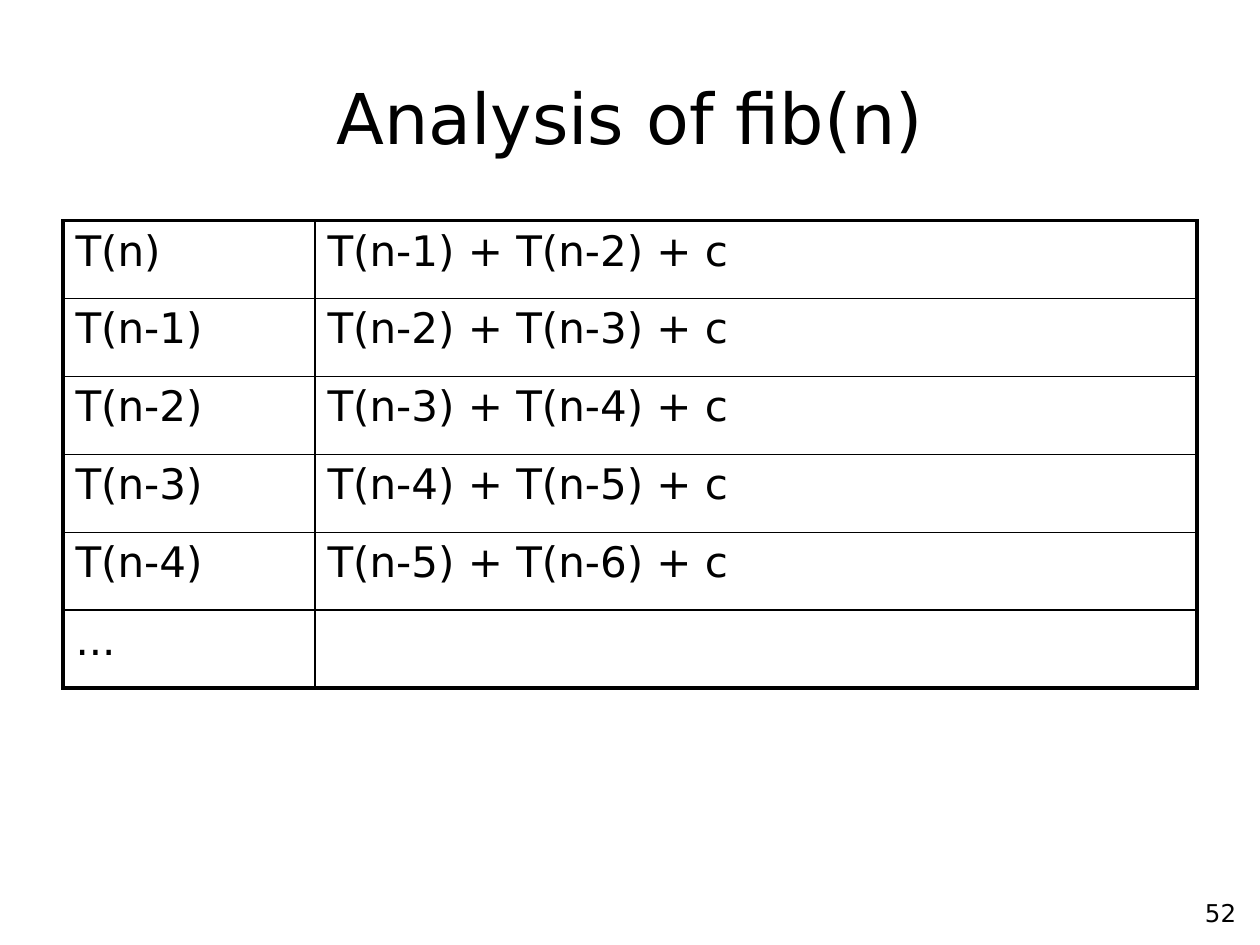
from dataclasses import dataclass

from lxml import etree
from pptx import Presentation
from pptx import util as u
from pptx.dml.color import RGBColor
from pptx.enum import text
from pptx.oxml import ns

TITLE = "Analysis of fib(n)"
PAGE_NUMBER = "52"
RECURRENCES = [
    ("T(n)", "T(n-1) + T(n-2) + c"),
    ("T(n-1)", "T(n-2) + T(n-3) + c"),
    ("T(n-2)", "T(n-3) + T(n-4) + c"),
    ("T(n-3)", "T(n-4) + T(n-5) + c"),
    ("T(n-4)", "T(n-5) + T(n-6) + c"),
    ("...", ""),
]
COLUMN_WIDTHS = (u.Cm(5.08), u.Cm(17.78))
ROW_HEIGHT = u.Cm(1.57)


@dataclass(frozen=True)
class Theme:
    font: str = "DejaVu Sans"
    ink: str = "000000"
    paper: str = "FFFFFF"
    title_size: int = 40
    table_size: int = 24
    number_size: int = 14
    outer_line: float = 2.25
    inner_line: float = 1


THEME = Theme()


def write(frame, content, size, align=text.PP_ALIGN.LEFT, anchor=text.MSO_ANCHOR.TOP):
    frame.word_wrap = True
    frame.vertical_anchor = anchor
    para = frame.paragraphs[0]
    para.alignment = align
    para.font.size = u.Pt(size)
    if content:
        span = para.add_run()
        span.text = content
        span.font.name = THEME.font
        span.font.size = u.Pt(size)
        span.font.color.rgb = RGBColor.from_string(THEME.ink)


def add_text(page, content, left, top, width, height, **layout):
    box = page.shapes.add_textbox(u.Cm(left), u.Cm(top), u.Cm(width), u.Cm(height))
    write(box.text_frame, content, **layout)


def draw_borders(cell, outer_sides):
    properties = cell._tc.get_or_add_tcPr()
    for side, is_outer in outer_sides.items():
        weight = THEME.outer_line if is_outer else THEME.inner_line
        line = etree.SubElement(properties, ns.qn(f"a:ln{side}"), w=str(u.Pt(weight)))
        fill = etree.SubElement(line, ns.qn("a:solidFill"))
        etree.SubElement(fill, ns.qn("a:srgbClr"), val=THEME.ink)


def add_recurrence_table(page, left, top):
    row_count, column_count = len(RECURRENCES), len(COLUMN_WIDTHS)
    table = page.shapes.add_table(
        row_count, column_count, u.Cm(left), u.Cm(top),
        sum(COLUMN_WIDTHS), ROW_HEIGHT * row_count,
    ).table
    table.first_row = table.horz_banding = False
    for column, width in zip(table.columns, COLUMN_WIDTHS):
        column.width = width
    for r, entries in enumerate(RECURRENCES):
        table.rows[r].height = ROW_HEIGHT
        for c, entry in enumerate(entries):
            cell = table.cell(r, c)
            write(cell.text_frame, entry, THEME.table_size)
            draw_borders(cell, {
                "L": c == 0,
                "R": c == column_count - 1,
                "T": r == 0,
                "B": r == row_count - 1,
            })
            cell.fill.background()


def main():
    deck = Presentation()
    deck.slide_width, deck.slide_height = u.Cm(25.4), u.Cm(19.05)
    page = deck.slides.add_slide(deck.slide_layouts[6])
    page.background.fill.solid()
    page.background.fill.fore_color.rgb = RGBColor.from_string(THEME.paper)
    add_text(page, PAGE_NUMBER, 19.89, 17.98, 5.28, 0.94,
             size=THEME.number_size, align=text.PP_ALIGN.RIGHT)
    add_text(page, TITLE, 1.27, 0.76, 22.86, 3.18, size=THEME.title_size,
             align=text.PP_ALIGN.CENTER, anchor=text.MSO_ANCHOR.MIDDLE)
    add_recurrence_table(page, 1.27, 4.45)
    deck.save("out.pptx")


if __name__ == "__main__":
    main()
